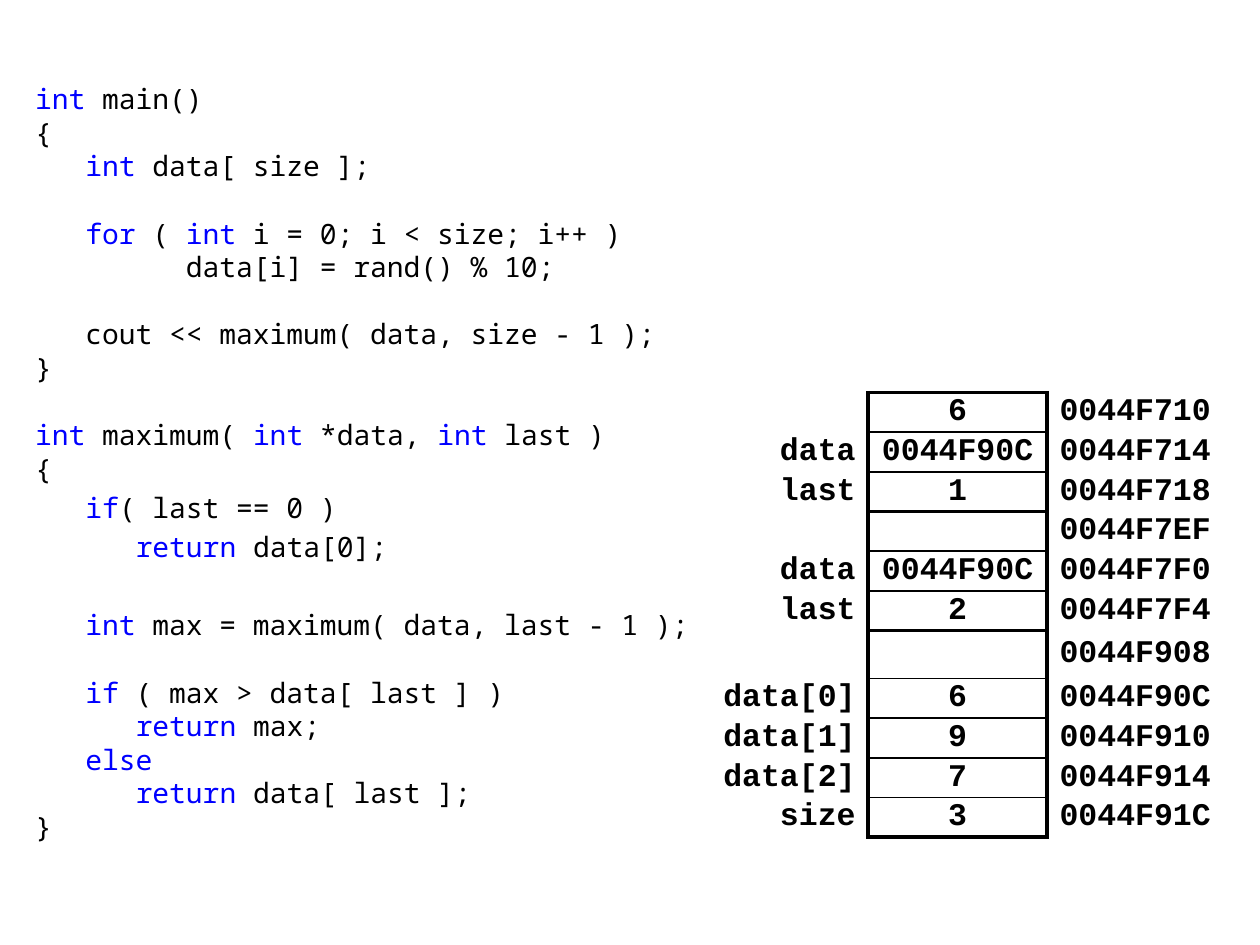
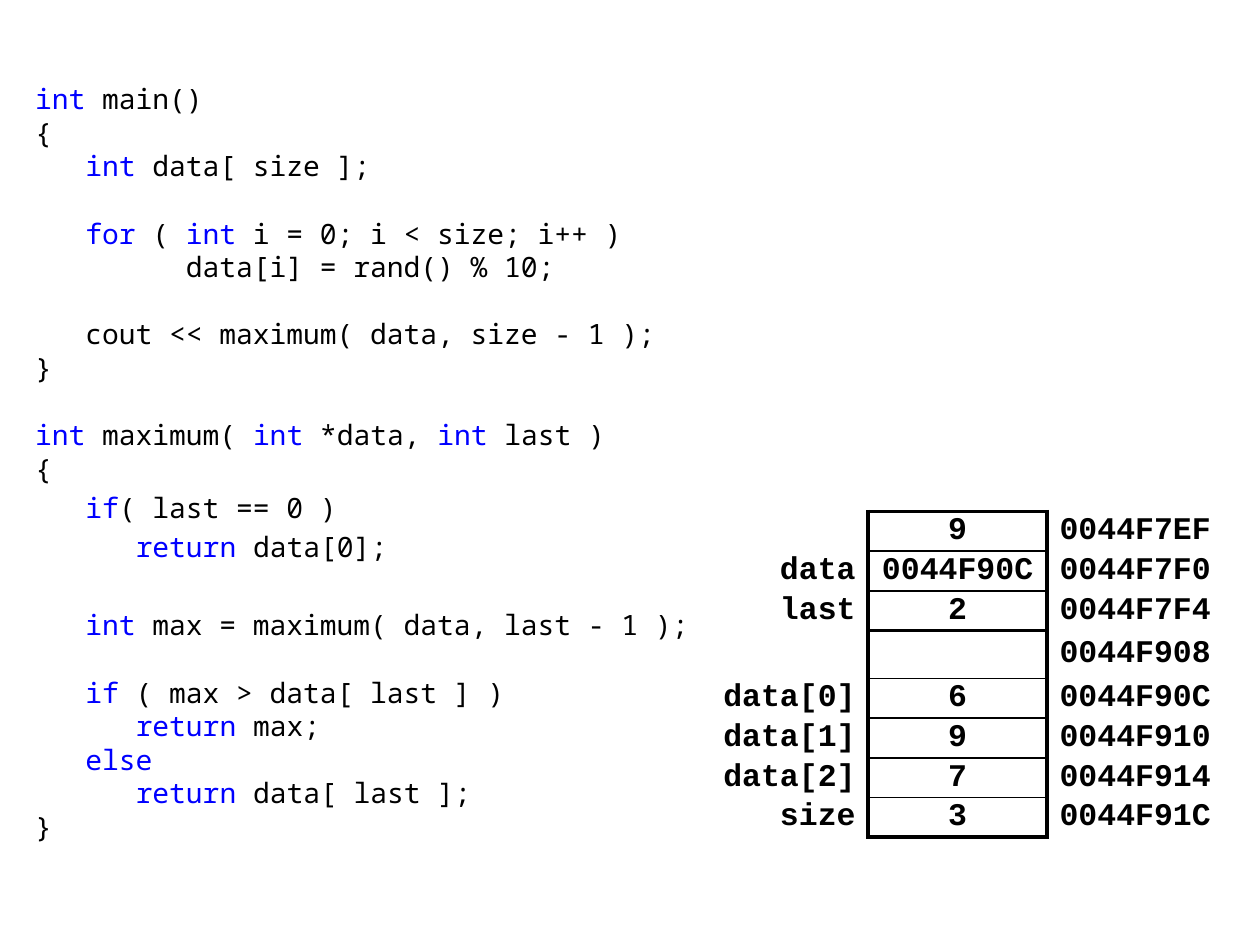
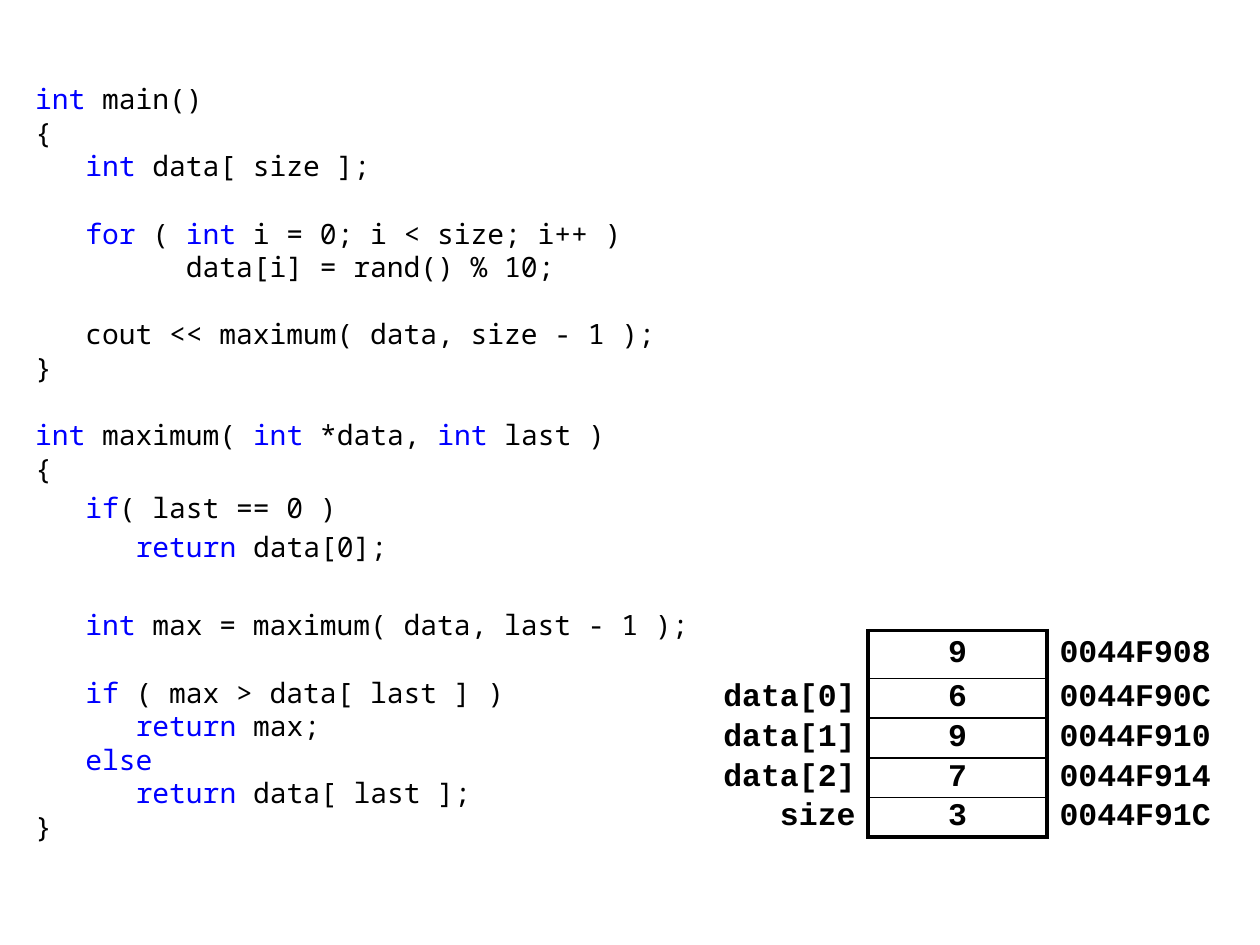
from typing import NamedTuple

from lxml import etree
from pptx import Presentation
from pptx.dml.color import RGBColor
from pptx.enum.text import MSO_ANCHOR, PP_ALIGN
from pptx.oxml.ns import qn
from pptx.util import Inches, Pt

LEFT, CENTER, RIGHT = PP_ALIGN.LEFT, PP_ALIGN.CENTER, PP_ALIGN.RIGHT
MIDDLE = MSO_ANCHOR.MIDDLE

COLORS = {"text": "000000", "keyword": "0000FF"}
CODE_FONT, MEMORY_FONT = "Noto Sans Mono", "Courier New"
CODE_SIZE, MEMORY_SIZE = 16, 18
LINE_PITCH, LOOSE_GAP = 19.2, 3.2
THICK, THIN = 2.25, 1
PLAIN_TABLE_STYLE = "{2D5ABB26-0587-4C30-8999-92F81FD0307C}"

ROW_COUNT = 14
ROW_HEIGHT = 4.41 / ROW_COUNT
TALL_ROW, TALL_ROW_HEIGHT = 9, 0.38
COLUMN_WIDTHS = (1.26, 1.42, 1.42)
COLUMN_ALIGNMENTS = (RIGHT, CENTER, LEFT)
LABEL, VALUE, ADDRESS = range(3)


class CodeLine(NamedTuple):
    """Keywords stand between backticks; gaps before the line are counted."""
    text: str
    empty_lines: int = 0
    loose_gaps: int = 0


class Slot(NamedTuple):
    label: str
    value: str
    address: str


CODE = (
    CodeLine("`int` main()"),
    CodeLine("{"),
    CodeLine("   `int` data[ size ];"),
    CodeLine("   `for` ( `int` i = 0; i < size; i++ )", 1),
    CodeLine("         data[i] = rand() % 10;"),
    CodeLine("   cout << maximum( data, size - 1 );", 1),
    CodeLine("}"),
    CodeLine("`int` maximum( `int` *data, `int` last )", 1),
    CodeLine("{"),
    CodeLine("   `if`( last == 0 )", 0, 1),
    CodeLine("      `return` data[0];", 0, 1),
    CodeLine("   `int` max = maximum( data, last - 1 );", 1, 2),
    CodeLine("   `if` ( max > data[ last ] )", 1),
    CodeLine("      `return` max;"),
    CodeLine("   `else`"),
    CodeLine("      `return` data[ last ];"),
    CodeLine("}"),
)

# Innermost call first; the first slot of each frame receives its result.
FRAMES = (
    (Slot("", "", "0044F710"),
     Slot("data", "0044F90C", "0044F714"),
     Slot("last", "1", "0044F718")),
    (Slot("", "", "0044F7EF"),
     Slot("data", "0044F90C", "0044F7F0"),
     Slot("last", "2", "0044F7F4")),
    (Slot("", "", "0044F908"),
     Slot("data[0]", "6", "0044F90C"),
     Slot("data[1]", "9", "0044F910"),
     Slot("data[2]", "7", "0044F914"),
     Slot("size", "3", "0044F91C")),
)
RETURNED_VALUES = ("6", "9", "9")


def style_font(font, name: str, size: float, bold: bool = False) -> None:
    font.name, font.size, font.bold = name, Pt(size), bold
    font.color.rgb = RGBColor.from_string(COLORS["text"])


def add_code(page) -> None:
    box = page.shapes.add_textbox(Inches(0.28), Inches(0.6), Inches(5.36), Inches(6.46))
    frame = box.text_frame
    frame.word_wrap = True
    frame.margin_left = frame.margin_right = 0
    frame.margin_top = frame.margin_bottom = Inches(0.05)
    for index, line in enumerate(CODE):
        para = frame.add_paragraph() if index else frame.paragraphs[0]
        para.line_spacing = Pt(LINE_PITCH)
        para.space_before = Pt(line.empty_lines * LINE_PITCH + line.loose_gaps * LOOSE_GAP)
        style_font(para.font, CODE_FONT, CODE_SIZE)
        for part, text in enumerate(line.text.split("`")):
            if text:
                span = para.add_run()
                span.text = text
                if part % 2:
                    span.font.color.rgb = RGBColor.from_string(COLORS["keyword"])


def set_borders(cell, widths: dict[str, float]) -> None:
    """Draw the given edges, named L, R, T and B in that order."""
    properties = cell._tc.get_or_add_tcPr()
    for edge, width in widths.items():
        if width:
            line = etree.SubElement(properties, qn(f"a:ln{edge}"), w=str(Pt(width)))
            fill = etree.SubElement(line, qn("a:solidFill"))
            etree.SubElement(fill, qn("a:srgbClr"), val=COLORS["text"])


def add_memory(page, returned: int) -> None:
    """Show the stack after the given number of calls have returned."""
    live = FRAMES[returned:]
    slots = [slot for frame in live for slot in frame]
    slots[0] = slots[0]._replace(value=RETURNED_VALUES[returned])
    first = ROW_COUNT - len(slots)
    thick_rows = {ROW_COUNT - sum(map(len, live[index:])) for index in range(len(live) + 1)}

    def line_above(row: int) -> float:
        if row < first:
            return 0
        return THICK if row in thick_rows else THIN

    graphic = page.shapes.add_table(
        ROW_COUNT, len(COLUMN_WIDTHS), Inches(5.63), Inches(2.17),
        Inches(sum(COLUMN_WIDTHS)), Inches(ROW_HEIGHT * ROW_COUNT))
    table = graphic.table
    table.first_row = table.horz_banding = False
    table._tbl.tblPr.find(qn("a:tableStyleId")).text = PLAIN_TABLE_STYLE
    for column, width in zip(table.columns, COLUMN_WIDTHS):
        column.width = Inches(width)
    for row_index, row in enumerate(table.rows):
        row.height = Inches(TALL_ROW_HEIGHT if row_index == TALL_ROW else ROW_HEIGHT)
        slot = slots[row_index - first] if row_index >= first else Slot("", "", "")
        side = THICK if row_index >= first else 0
        borders = {
            LABEL: {"R": side},
            VALUE: {"L": side, "R": side,
                    "T": line_above(row_index), "B": line_above(row_index + 1)},
            ADDRESS: {"L": side},
        }
        for column_index, cell in enumerate(row.cells):
            set_borders(cell, borders[column_index])
            cell.fill.background()
            cell.margin_left = cell.margin_right = Inches(0.1)
            cell.margin_top = cell.margin_bottom = 0
            cell.vertical_anchor = MIDDLE
            cell.text = slot[column_index]
            para = cell.text_frame.paragraphs[0]
            para.alignment = COLUMN_ALIGNMENTS[column_index]
            style_font(para.font, MEMORY_FONT, MEMORY_SIZE, bold=True)


def main() -> None:
    deck = Presentation()
    deck.slide_width, deck.slide_height = Inches(10), Inches(7.5)
    blank_layout = deck.slide_layouts.get_by_name("Blank")
    for returned in range(len(FRAMES)):
        page = deck.slides.add_slide(blank_layout)
        add_code(page)
        add_memory(page, returned)
    deck.save("out.pptx")


if __name__ == "__main__":
    main()
